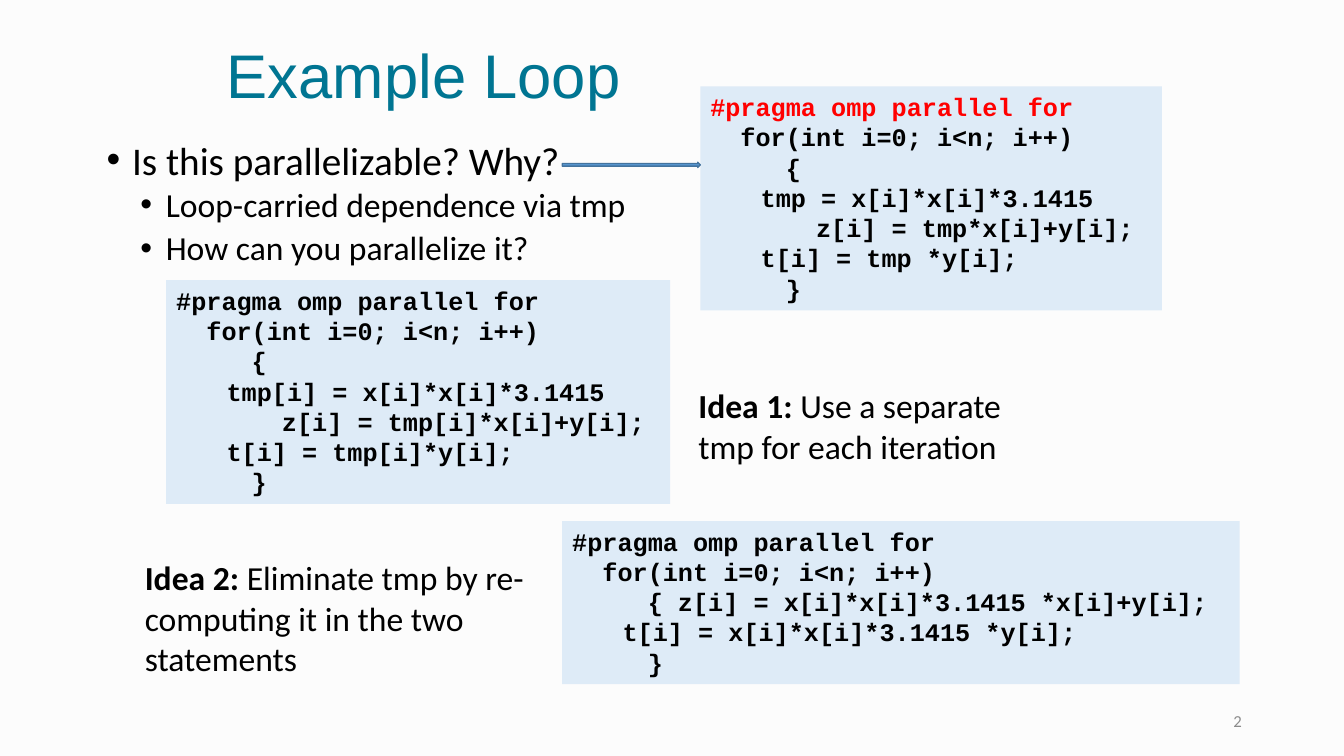
from lxml import etree
from pptx import Presentation
from pptx.dml.color import RGBColor
from pptx.enum.shapes import MSO_SHAPE
from pptx.enum.text import MSO_ANCHOR, MSO_AUTO_SIZE, PP_ALIGN
from pptx.oxml.ns import qn
from pptx.util import Cm, Pt

RECTANGLE, RIGHT_ARROW = MSO_SHAPE.RECTANGLE, MSO_SHAPE.RIGHT_ARROW
TOP, MIDDLE = MSO_ANCHOR.TOP, MSO_ANCHOR.MIDDLE
LEFT, RIGHT = PP_ALIGN.LEFT, PP_ALIGN.RIGHT

BACKGROUND = RGBColor(0xFC, 0xFC, 0xFC)
TEAL = RGBColor(0x00, 0x75, 0x92)
BLACK = RGBColor(0x00, 0x00, 0x00)
RED = RGBColor(0xFF, 0x00, 0x00)
GRAY = RGBColor(0x8C, 0x8C, 0x8C)
CODE_FILL = RGBColor(0xDE, 0xEB, 0xF7)
ARROW_FILL = RGBColor(0x5B, 0x9B, 0xD5)
ARROW_LINE = RGBColor(0x43, 0x73, 0x9E)


def write(shape, paragraphs, size, font="Calibri", align=LEFT, anchor=TOP,
          spacing=1.0, space_before=0, bullet_margin=None):
    """Fill a shape; each paragraph is a list of (text, bold, colour) runs."""
    frame = shape.text_frame
    frame.word_wrap = True
    frame.auto_size = MSO_AUTO_SIZE.NONE
    frame.vertical_anchor = anchor
    for index, runs in enumerate(paragraphs):
        paragraph = frame.add_paragraph() if index else frame.paragraphs[0]
        paragraph.alignment = align
        paragraph.line_spacing = spacing
        paragraph.space_before = Pt(space_before if index else 0)
        if bullet_margin is not None:
            properties = paragraph._p.get_or_add_pPr()
            properties.set("marL", str(bullet_margin))
            properties.set("indent", str(-Cm(0.64)))
            etree.SubElement(properties, qn("a:buFont")).set("typeface", "Arial")
            etree.SubElement(properties, qn("a:buChar")).set("char", "•")
        for text, bold, color in runs:
            run = paragraph.add_run()
            run.text = text
            run.font.name = font
            run.font.size = Pt(size)
            run.font.bold = bold
            run.font.color.rgb = color


presentation = Presentation()
presentation.slide_width, presentation.slide_height = Cm(33.87), Cm(19.05)
slide = presentation.slides.add_slide(presentation.slide_layouts[5])
slide.background.fill.solid()
slide.background.fill.fore_color.rgb = BACKGROUND

# Title
title = slide.shapes.title
title.left, title.top, title.width, title.height = Cm(5.46), Cm(0.71), Cm(22.86), Cm(2.54)
write(title, [[("Example Loop", False, TEAL)]], 44, font="Arial", anchor=MIDDLE, spacing=0.9)

# Question and its sub-points
sub_points = slide.shapes.add_textbox(Cm(2.03), Cm(4.62), Cm(14.86), Cm(12.09))
write(sub_points, [[("Loop-carried dependence via tmp", False, BLACK)],
                   [("How can you parallelize it?", False, BLACK)]],
      24, spacing=0.9, space_before=5, bullet_margin=Cm(1.9))
question = slide.shapes.add_textbox(Cm(2.44), Cm(3.3), Cm(12.12), Cm(1.45))
write(question, [[("Is this parallelizable? Why?", False, BLACK)]], 28, bullet_margin=Cm(0.64))

# Code boxes: position, colour of the pragma, loop body
PRAGMA = "#pragma omp parallel for"
LOOP = "  for(int i=0; i<n; i++)"
code_boxes = [
    ((17.65, 2.18, 11.63, 5.64), RED,
     ["     {", "\ttmp = x[i]*x[i]*3.1415", "       z[i] = tmp*x[i]+y[i];",
      "\tt[i] = tmp *y[i];", "     }"]),
    ((14.17, 13.13, 17.07, 4.11), BLACK,
     ["     { z[i] = x[i]*x[i]*3.1415 *x[i]+y[i];",
      "\tt[i] = x[i]*x[i]*3.1415 *y[i];", "     }"]),
    ((4.19, 7.06, 12.7, 5.64), BLACK,
     ["     {", "\ttmp[i] = x[i]*x[i]*3.1415", "       z[i] = tmp[i]*x[i]+y[i];",
      "\tt[i] = tmp[i]*y[i];", "     }"]),
]
for place, pragma_color, body in code_boxes:
    box = slide.shapes.add_shape(RECTANGLE, *map(Cm, place))
    box.shadow.inherit = False
    box.fill.solid()
    box.fill.fore_color.rgb = CODE_FILL
    box.line.fill.background()
    lines = [[(PRAGMA, True, pragma_color)]] + [[(line, True, BLACK)] for line in [LOOP] + body]
    write(box, lines, 18, font="Courier New")

# Arrow from the question to the first loop
arrow = slide.shapes.add_shape(RIGHT_ARROW, Cm(14.17), Cm(4.09), Cm(3.48), Cm(0.13))
arrow.shadow.inherit = False
arrow.fill.solid()
arrow.fill.fore_color.rgb = ARROW_FILL
arrow.line.color.rgb = ARROW_LINE
arrow.line.width = Pt(1)

# Ideas
ideas = [
    ((3.4, 13.92, 10.36, 3.33), "Idea 2: ",
     "Eliminate tmp by re-computing it in the two statements"),
    ((17.35, 9.58, 9.09, 2.31), "Idea 1: ", "Use a separate tmp for each iteration"),
]
for place, label, idea in ideas:
    idea_box = slide.shapes.add_textbox(*map(Cm, place))
    write(idea_box, [[(label, True, BLACK), (idea, False, BLACK)]], 24)

# Slide number
number = slide.shapes.add_textbox(Cm(23.93), Cm(17.65), Cm(7.62), Cm(1.02))
write(number, [[("2", False, GRAY)]], 12, align=RIGHT, anchor=MIDDLE)

presentation.save("out.pptx")
